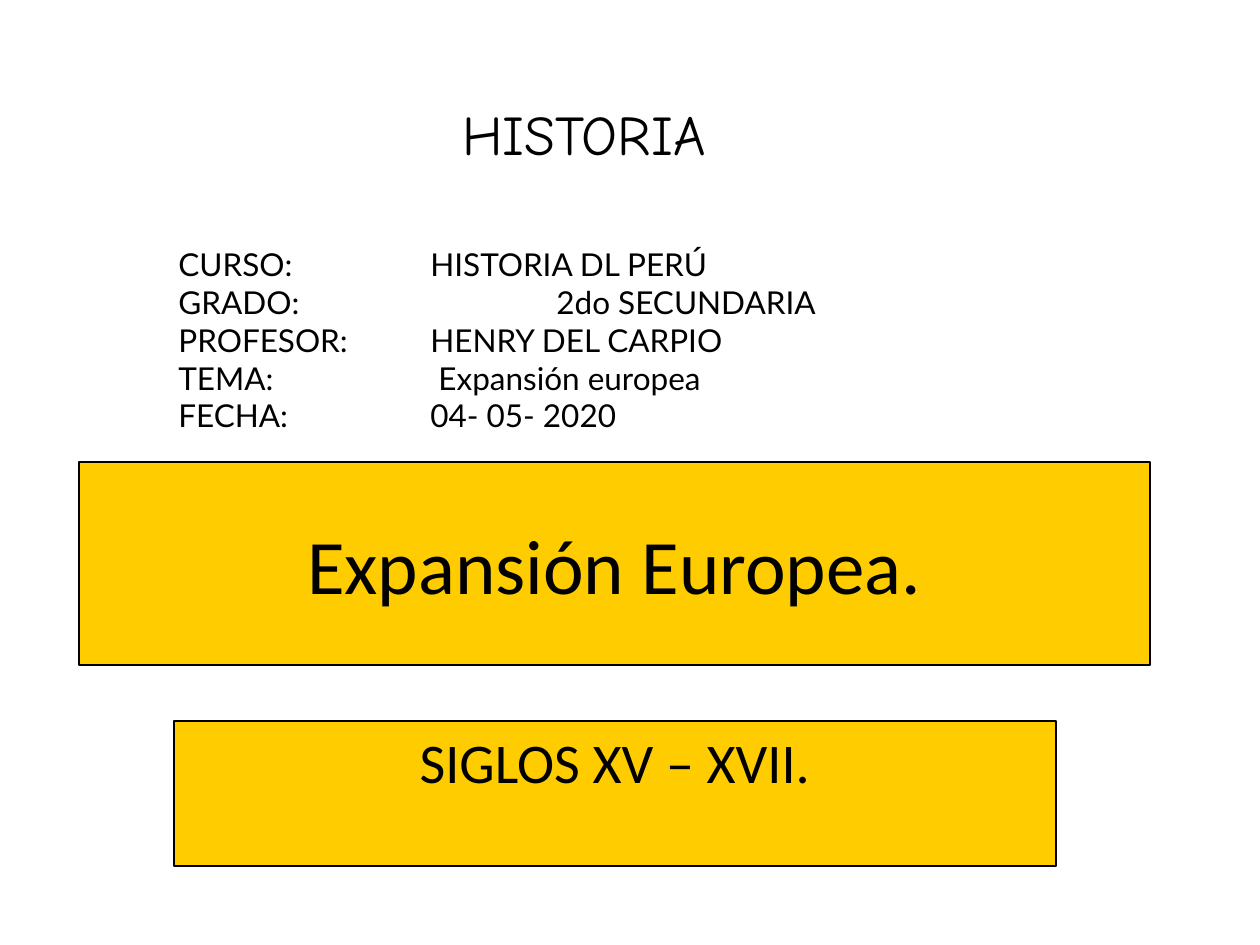
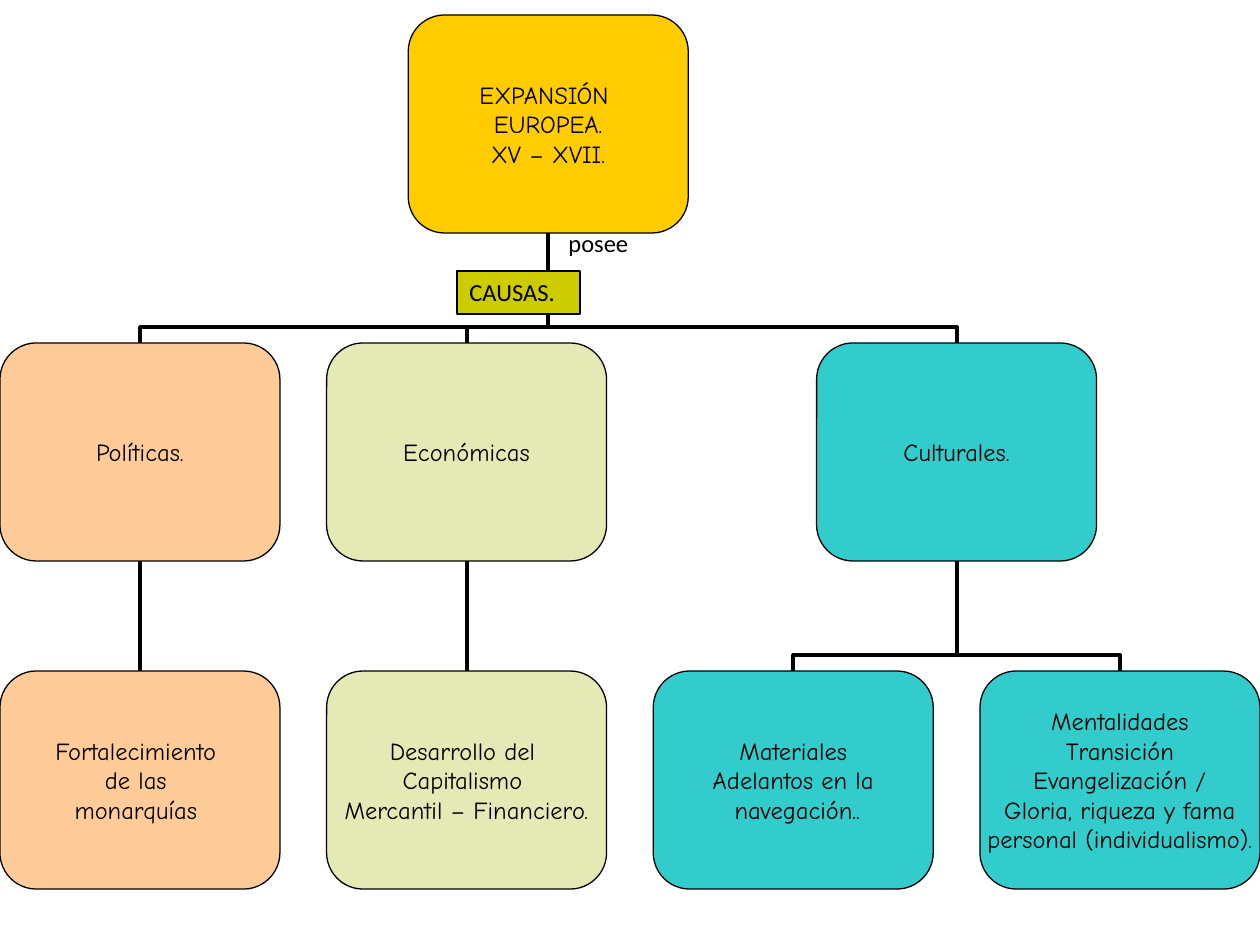
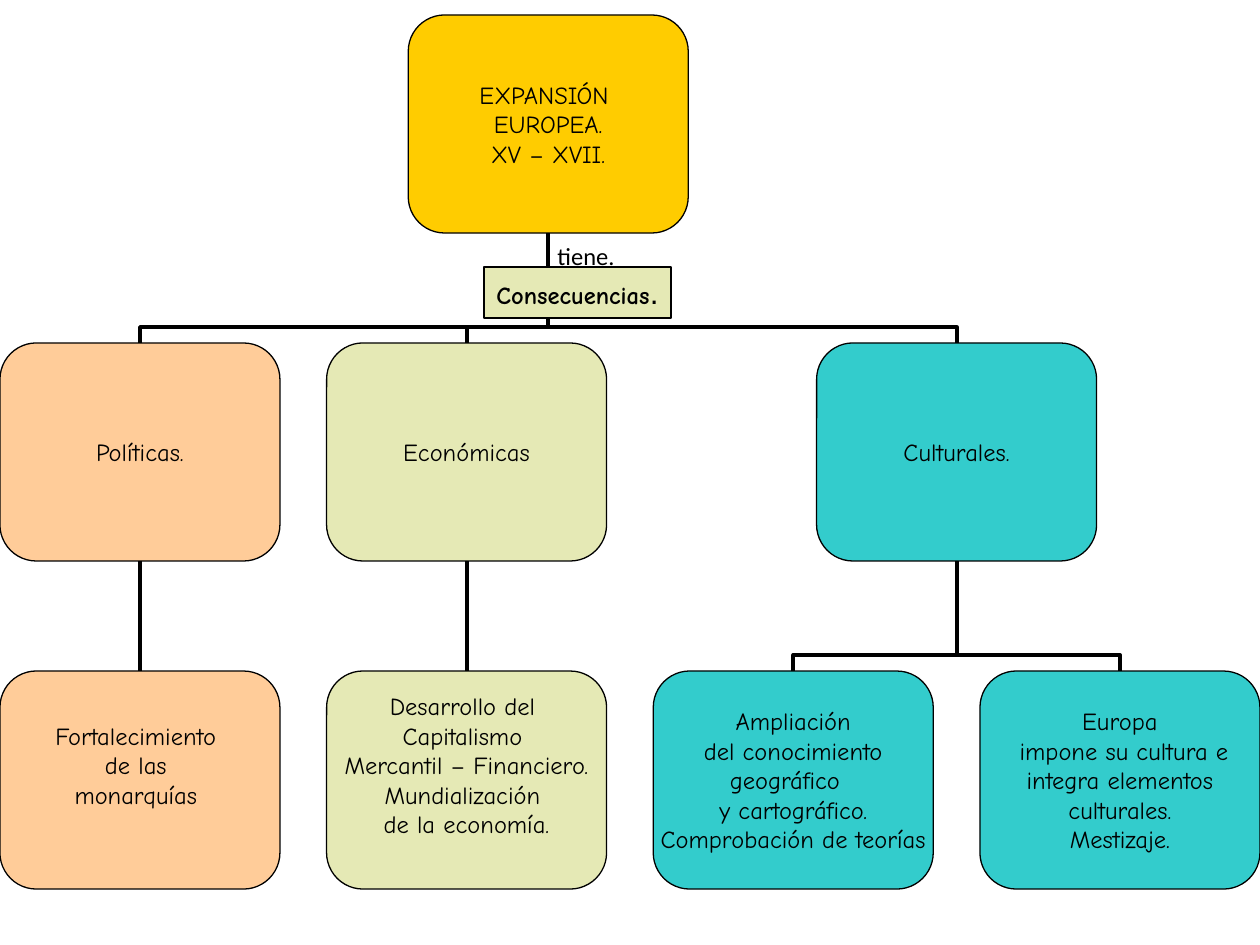
"""Builds a three-slide history lesson on the European expansion."""
from collections import namedtuple

from lxml.etree import SubElement
from pptx import Presentation
from pptx.dml.color import RGBColor
from pptx.enum.shapes import MSO_CONNECTOR, MSO_SHAPE
from pptx.enum.text import MSO_ANCHOR, MSO_AUTO_SIZE, PP_ALIGN
from pptx.oxml.ns import qn
from pptx.util import Emu, Pt

BLACK = RGBColor(0x00, 0x00, 0x00)
GOLD = RGBColor(0xFF, 0xCC, 0x00)
PEACH = RGBColor(0xFF, 0xCC, 0x99)
CREAM = RGBColor(0xE5, 0xE9, 0xB5)
TEAL = RGBColor(0x33, 0xCC, 0xCC)
OLIVE = RGBColor(0xCC, 0xCC, 0x00)

Style = namedtuple("Style", "font size bold", defaults=(False,))
TITLE = Style("Calibri", 44)
SUBTITLE = Style("Calibri", 32)
HEADING = Style("Comic Neue", 32)
DETAIL = Style("Lato", 18)
CARD = Style("Comic Neue", 14)
CARD_BOLD = Style("Comic Neue", 14, True)
LABEL = Style("Calibri", 14)
STOP = Style("Arial", 18)

SLIDE_W, SLIDE_H = 1260, 945
CARD_W, CARD_H = 280, 218
COL_STEP = (SLIDE_W - CARD_W) / 3
ROW_TOP, ROW_STEP = 15, 328
LINE_H = 30


def px(n):
    return Emu(round(n * 914400 / 126))


class Deck:
    def __init__(self):
        self.prs = Presentation()
        self.prs.slide_width, self.prs.slide_height = px(SLIDE_W), px(SLIDE_H)
        self.s = None

    def slide(self, layout):
        self.s = self.prs.slides.add_slide(self.prs.slide_layouts[layout])

    def add_runs(self, tf, paragraphs, align=PP_ALIGN.LEFT):
        for i, runs in enumerate(paragraphs):
            p = tf.paragraphs[0] if i == 0 else tf.add_paragraph()
            p.alignment = align
            for text, style in runs:
                r = p.add_run()
                r.text = text
                r.font.name, r.font.size = style.font, Pt(style.size)
                r.font.bold = style.bold
                r.font.color.rgb = BLACK

    def paint(self, sp, color):
        sp.fill.solid()
        sp.fill.fore_color.rgb = color
        sp.line.color.rgb = BLACK
        sp.line.width = Pt(0.75)

    def placeholder(self, idx, x, y, w, h, text, style, before=0):
        sp = self.s.placeholders[idx]
        sp.left, sp.top, sp.width, sp.height = px(x), px(y), px(w), px(h)
        self.paint(sp, GOLD)
        self.add_runs(sp.text_frame, [[(text, style)]], PP_ALIGN.CENTER)
        sp.text_frame.paragraphs[0].space_before = Pt(before)

    def text(self, x, y, w, h, paragraphs, wrap=True):
        tf = self.s.shapes.add_textbox(px(x), px(y), px(w), px(h)).text_frame
        tf.word_wrap = wrap
        tf.auto_size = MSO_AUTO_SIZE.SHAPE_TO_FIT_TEXT
        self.add_runs(tf, paragraphs)
        return tf

    def shape(self, kind, x, y, w, h, color):
        sp = self.s.shapes.add_shape(kind, px(x), px(y), px(w), px(h))
        sp.shadow.inherit = False
        self.paint(sp, color)
        sp.text_frame.word_wrap = False
        return sp

    def tag(self, x, y, w, h, color, runs, align):
        tf = self.shape(MSO_SHAPE.RECTANGLE, x, y, w, h, color).text_frame
        tf.vertical_anchor = MSO_ANCHOR.TOP
        tf.auto_size = MSO_AUTO_SIZE.SHAPE_TO_FIT_TEXT
        self.add_runs(tf, [runs], align)

    def card(self, col, row, color, lines, lift=0):
        sp = self.shape(MSO_SHAPE.ROUNDED_RECTANGLE, col * COL_STEP,
                        ROW_TOP + row * ROW_STEP, CARD_W, CARD_H, color)
        tf = sp.text_frame
        tf.margin_left = tf.margin_top = tf.margin_right = 0
        tf.margin_bottom = px(lift)
        tf.vertical_anchor = MSO_ANCHOR.MIDDLE
        self.add_runs(tf, [[(line, CARD)] for line in lines], PP_ALIGN.CENTER)
        return sp

    def connector(self, kind, *ends):
        c = self.s.shapes.add_connector(kind, *[Emu(round(e)) for e in ends])
        c.line.color.rgb = BLACK
        c.line.width = Pt(2.25)
        SubElement(c._element.spPr, qn("a:effectLst"))
        return c

    def straight(self, child, parent):
        c = self.connector(MSO_CONNECTOR.STRAIGHT, 0, 0, 0, 0)
        c.begin_connect(child, 0)
        c.end_connect(parent, 2)

    def elbow(self, child, parent):
        x1, y1 = child.left + child.width / 2, child.top
        x2, y2 = parent.left + parent.width / 2, parent.top + parent.height
        side = 1 if x1 > x2 else -1
        cx, cy = (x1 + x2) / 2, (y1 + y2) / 2
        dx, dy = side * (y1 - y2) / 2, abs(x1 - x2) / 2
        c = self.connector(MSO_CONNECTOR.ELBOW, cx - dx, cy + dy, cx + dx, cy - dy)
        pr = c._element.spPr
        pr.find(qn("a:xfrm")).set("rot", str((270 if side > 0 else 90) * 60000))
        av = pr.find(qn("a:prstGeom")).find(qn("a:avLst"))
        SubElement(av, qn("a:gd"), name="adj1", fmla="val 14400")


def cover(deck):
    deck.slide(0)
    deck.placeholder(0, 79, 462, 1071, 203, "Expansión Europea.", TITLE)
    deck.placeholder(1, 174, 721, 882, 145, "SIGLOS XV – XVII.", SUBTITLE, 8)
    details = [
        ("CURSO:", 252, "HISTORIA DL PERÚ"),
        ("GRADO:", 378, "2do SECUNDARIA"),
        ("PROFESOR:", 252, "HENRY DEL CARPIO"),
        ("TEMA:", 252, " Expansión europea"),
        ("FECHA:", 252, "04- 05- 2020"),
    ]
    tf = deck.text(166, 239, 912, 202,
                   [[(f"{label} \t{value}", DETAIL)] for label, _, value in details])
    for p, (_, stop, _) in zip(tf.paragraphs, details):
        tabs = SubElement(p._p.get_or_add_pPr(), qn("a:tabLst"))
        SubElement(tabs, qn("a:tab"), pos=str(px(stop)), algn="l")
    deck.text(450, 93, 290, 81, [[("HISTORIA", HEADING)]])


def diagram(deck, politics, economy, culture_left, culture_right, lift=0):
    deck.slide(6)
    root = deck.card(1.25, 0, GOLD, ["EXPANSIÓN ", "EUROPEA.", "XV – XVII."])
    branches = [
        (0, PEACH, "Políticas.", [(0, politics, lift)]),
        (1, CREAM, "Económicas", [(1, economy, lift)]),
        (2.5, TEAL, "Culturales.", [(2, culture_left, 0), (3, culture_right, 0)]),
    ]
    for col, color, name, leaves in branches:
        branch = deck.card(col, 1, color, [name])
        deck.elbow(branch, root)
        for leaf_col, lines, leaf_lift in leaves:
            leaf = deck.card(leaf_col, 2, color, lines, leaf_lift)
            join = deck.straight if leaf_col == col else deck.elbow
            join(leaf, branch)


def main():
    deck = Deck()
    cover(deck)

    politics = ["Fortalecimiento ", "de las ", "monarquías "]
    economy = ["Desarrollo del ", "Capitalismo ", "Mercantil – Financiero."]
    diagram(deck, politics, economy,
            ["Materiales", "Adelantos en la", " navegación.."],
            ["Mentalidades", "Transición", "Evangelización /",
             " Gloria, riqueza y fama ", "personal (individualismo)."])
    deck.tag(457, 271, 123, 43, OLIVE, [("CAUSAS.", LABEL)], PP_ALIGN.LEFT)
    deck.text(556, 222, 95, 43, [[("posee", LABEL)]], wrap=False)

    diagram(deck, politics, economy + ["Mundialización ", "de la economía."],
            ["Ampliación", " del conocimiento ", "geográfico  ",
             "y cartográfico.", "Comprobación de teorías"],
            ["Europa", " impone su cultura e", "integra elementos",
             "culturales.", "Mestizaje."], LINE_H)
    deck.tag(484, 267, 187, 51, CREAM,
             [("Consecuencias", CARD_BOLD), (".", STOP)], PP_ALIGN.CENTER)
    deck.text(545, 235, 90, 43, [[("tiene.", LABEL)]], wrap=False)

    deck.prs.save("out.pptx")


if __name__ == "__main__":
    main()
